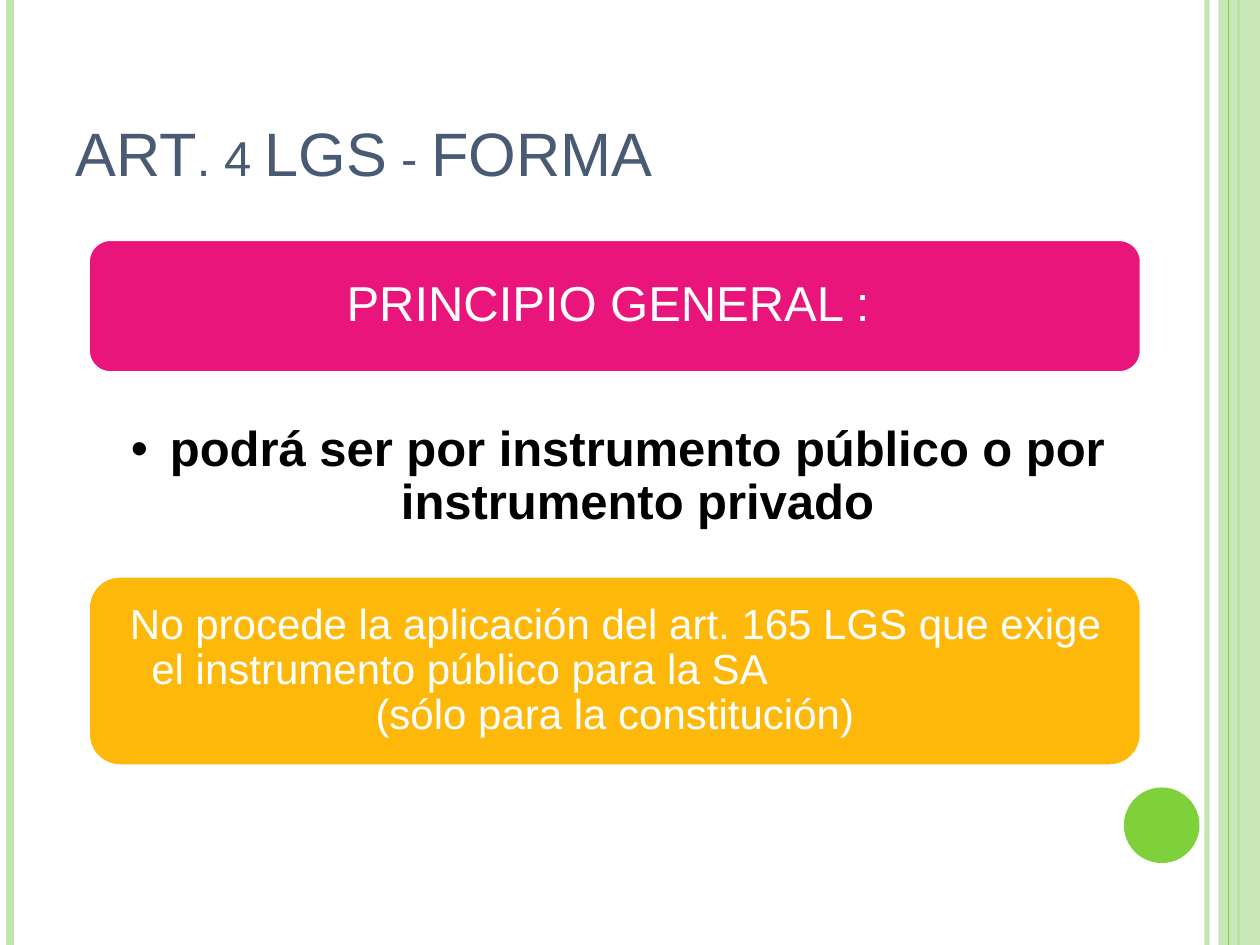
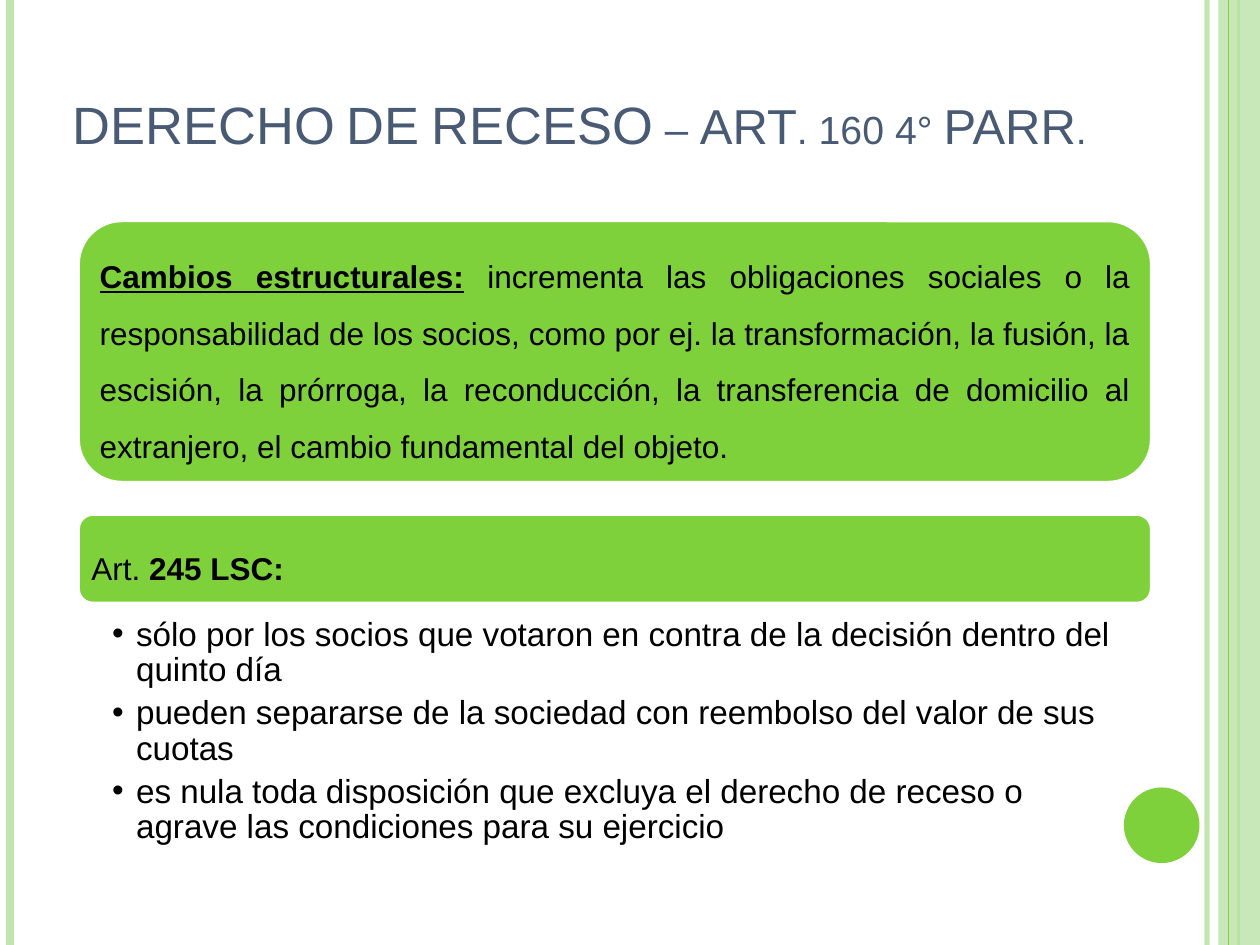
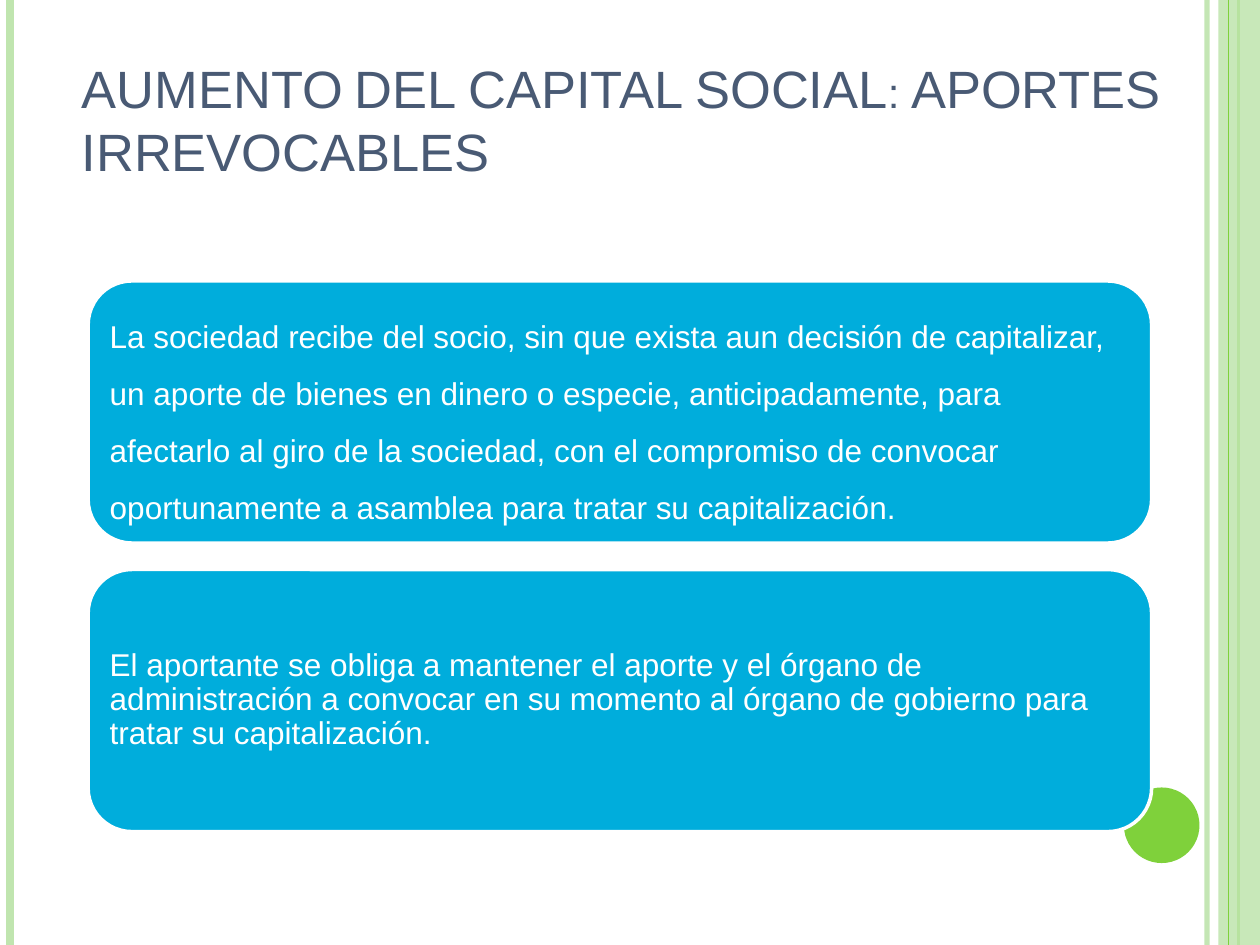
from dataclasses import dataclass

from lxml import etree
from pptx import Presentation
from pptx.dml.color import RGBColor
from pptx.enum.shapes import MSO_CONNECTOR, MSO_SHAPE
from pptx.enum.text import MSO_ANCHOR, PP_ALIGN
from pptx.oxml.ns import qn
from pptx.util import Inches, Pt

LEFT, CENTER, JUSTIFY = PP_ALIGN.LEFT, PP_ALIGN.CENTER, PP_ALIGN.JUSTIFY
TOP, MIDDLE, BOTTOM = MSO_ANCHOR.TOP, MSO_ANCHOR.MIDDLE, MSO_ANCHOR.BOTTOM
STRAIGHT = MSO_CONNECTOR.STRAIGHT
RECTANGLE, OVAL = MSO_SHAPE.RECTANGLE, MSO_SHAPE.OVAL
ROUNDED = MSO_SHAPE.ROUNDED_RECTANGLE


@dataclass(frozen=True)
class Theme:
    font: str = "Arial"
    title: str = "495A74"
    green: str = "7FD13B"
    pale_green: str = "C0E5AF"
    pink: str = "EA157A"
    amber: str = "FEB80A"
    blue: str = "00ADDC"
    white: str = "FFFFFF"
    black: str = "000000"
    title_large: int = 35
    title_medium: int = 30
    title_small: int = 28
    heading: int = 28
    statement: int = 24
    bullet: int = 19
    body: int = 18


THEME = Theme()
SLIDE_WIDTH, SLIDE_HEIGHT = 10, 7.5

RULES = [
    (9.58, THEME.pale_green, 3, 93),
    (0.08, THEME.pale_green, 4.5, 100),
    (9.83, THEME.green, 1.5, 100),
    (9.75, THEME.green, 0.75, 100),
]
SIDE_BAND = (9.67, 0, 0.33, SLIDE_HEIGHT)
CORNER_DOT = (8.92, 6.25, 0.6, 0.6)

SLIDES = [
    {
        "title": [("ART. 4 LGS - FORMA", {"size": THEME.title_large})],
        "title_box": (0.5, 0.3, 8.17, 1.25),
        "cards": [
            {
                "box": (0.7, 1.9, 8.36, 1.06),
                "fill": THEME.pink,
                "inset": 0.12,
                "paragraphs": [
                    {"text": "PRINCIPIO GENERAL : ", "size": THEME.heading, "align": CENTER},
                ],
            },
            {
                "box": (0.7, 4.57, 8.36, 1.51),
                "fill": THEME.amber,
                "inset": 0.1,
                "paragraphs": [
                    {
                        "text": "No procede la aplicación del art. 165 LGS que exige "
                                "el instrumento público para la SA",
                        "size": THEME.statement, "margin": 0.33, "indent": -0.17, "after": 0,
                    },
                    {"text": "(sólo para la constitución)", "size": THEME.statement,
                     "align": CENTER, "after": 0},
                ],
            },
        ],
        "bullets": {
            "box": (0.7, 3.33, 8.36, 1.18),
            "insets": (0.27, 0.04, 0.22, 0.04),
            "format": {"size": THEME.heading, "bold": True, "align": CENTER,
                       "margin": 0.31, "indent": -0.31},
            "items": ["podrá ser por instrumento público o por instrumento privado"],
        },
    },
    {
        "title": [
            ("DERECHO DE RECESO – ", {"size": THEME.title_medium}),
            ("ART. 160 4° PARR.", {"size": THEME.title_small}),
        ],
        "title_box": (0.48, -0.14, 8.8, 1.42),
        "cards": [
            {
                "box": (0.62, 1.75, 8.52, 2.08),
                "fill": THEME.green,
                "inset": 0.07,
                "paragraphs": [{
                    "text": [
                        ("Cambios estructurales:", {"bold": True, "underline": True}),
                        (" ", {"bold": True}),
                        ("incrementa las obligaciones sociales o la responsabilidad de los "
                         "socios, como por ej. la transformación, la fusión, la escisión, "
                         "la prórroga, la reconducción, la transferencia de domicilio al "
                         "extranjero, el cambio fundamental del objeto.", {}),
                    ],
                    "color": THEME.black, "align": JUSTIFY, "spacing": 1.5,
                }],
            },
            {
                "box": (0.62, 4.08, 8.52, 0.71),
                "fill": THEME.green,
                "inset": 0.07,
                "paragraphs": [{
                    "text": [("Art. ", {}), ("245 LSC:", {"bold": True})],
                    "color": THEME.black, "align": JUSTIFY, "spacing": 1.5,
                }],
            },
        ],
        "bullets": {
            "box": (0.62, 4.87, 8.52, 1.84),
            "insets": (0.27, 0.03, 0.15, 0.03),
            "format": {"size": THEME.bullet, "margin": 0.19, "indent": -0.19},
            "items": [
                "sólo por los socios que votaron en contra de la decisión dentro del quinto día",
                "pueden separarse de la sociedad con reembolso del valor de sus cuotas",
                "es nula toda disposición que excluya el derecho de receso o agrave las "
                "condiciones para su ejercicio",
            ],
        },
    },
    {
        "title": [("AUMENTO DEL CAPITAL SOCIAL: APORTES IRREVOCABLES",
                   {"size": THEME.title_medium})],
        "title_box": (0.55, 0.07, 8.8, 1.42),
        "cards": [
            {
                "box": (0.7, 2.23, 8.44, 2.08),
                "fill": THEME.blue,
                "inset": 0.07,
                "paragraphs": [{
                    "text": "La sociedad recibe del socio, sin que exista aun decisión de "
                            "capitalizar, un aporte de bienes en dinero o especie, "
                            "anticipadamente, para afectarlo al giro de la sociedad, con el "
                            "compromiso de convocar oportunamente a asamblea para tratar su "
                            "capitalización.",
                    "spacing": 1.5,
                }],
            },
            {
                "box": (0.7, 4.52, 8.44, 2.08),
                "fill": THEME.blue,
                "inset": 0.07,
                "paragraphs": [{
                    "text": "El aportante se obliga a mantener el aporte y el órgano de "
                            "administración a convocar en su momento al órgano de gobierno "
                            "para tratar su capitalización.",
                }],
            },
        ],
    },
]


def inches(values):
    return [Inches(value) for value in values]


def rgb(color):
    return RGBColor.from_string(color)


def set_opacity(fill_parent, percent):
    color = next(fill_parent.iter(qn("a:srgbClr")))
    etree.SubElement(color, qn("a:alpha")).set("val", str(percent * 1000))


def write_text(paragraph, text, size=THEME.body, color=THEME.white, bold=False,
               underline=False, align=LEFT, spacing=0.9, after=0.35, margin=0,
               indent=0, bullet=False, small_caps=False):
    paragraph.alignment = align
    paragraph.line_spacing = spacing
    paragraph.space_after = Pt(round(size * after, 1))
    properties = paragraph._p.get_or_add_pPr()
    properties.set("marL", str(Inches(margin)))
    properties.set("indent", str(Inches(indent)))
    if bullet:
        etree.SubElement(properties, qn("a:buFont")).set("typeface", THEME.font)
        etree.SubElement(properties, qn("a:buChar")).set("char", "•")
    pieces = [(text, {})] if isinstance(text, str) else text
    for piece, changes in pieces:
        run = paragraph.add_run()
        run.text = piece
        run.font.name = THEME.font
        run.font.size = Pt(changes.get("size", size))
        run.font.bold = changes.get("bold", bold)
        run.font.underline = changes.get("underline", underline)
        run.font.color.rgb = rgb(color)
        if small_caps:
            run.font._element.set("cap", "small")


def fill_frame(shape, paragraphs, insets, anchor):
    frame = shape.text_frame
    frame.word_wrap = True
    frame.vertical_anchor = anchor
    (frame.margin_left, frame.margin_top,
     frame.margin_right, frame.margin_bottom) = inches(insets)
    for index, content in enumerate(paragraphs):
        paragraph = frame.add_paragraph() if index else frame.paragraphs[0]
        write_text(paragraph, **content)


def add_filled_shape(slide, kind, box, fill, outline=None):
    shape = slide.shapes.add_shape(kind, *inches(box))
    shape.shadow.inherit = False
    shape.fill.solid()
    shape.fill.fore_color.rgb = rgb(fill)
    if outline:
        shape.line.color.rgb = rgb(outline)
        shape.line.width = Pt(2)
    else:
        shape.line.fill.background()
    return shape


def add_vertical_rule(slide, x, color, width, opacity):
    rule = slide.shapes.add_connector(STRAIGHT, *inches((x, 0, x, SLIDE_HEIGHT)))
    rule.line.color.rgb = rgb(color)
    rule.line.width = Pt(width)
    properties = rule._element.spPr
    etree.SubElement(properties, qn("a:effectLst"))
    if opacity < 100:
        set_opacity(properties, opacity)


def add_frame_decoration(slide):
    for rule in RULES[:3]:
        add_vertical_rule(slide, *rule)
    band = add_filled_shape(slide, RECTANGLE, SIDE_BAND, THEME.pale_green)
    set_opacity(band._element.spPr, 87)
    add_vertical_rule(slide, *RULES[3])
    add_filled_shape(slide, OVAL, CORNER_DOT, THEME.green)


def add_title(slide, text, box):
    title = slide.shapes.add_textbox(*inches(box))
    content = {"text": text, "color": THEME.title, "spacing": 1.0, "after": 0,
               "small_caps": True}
    fill_frame(title, [content], (0.1, 0.05, 0.1, 0.05), BOTTOM)


def add_card(slide, box, fill, inset, paragraphs):
    card = add_filled_shape(slide, ROUNDED, box, fill, outline=THEME.white)
    fill_frame(card, paragraphs, [inset] * 4, MIDDLE)


def add_bullets(slide, bullets):
    text_box = slide.shapes.add_textbox(*inches(bullets["box"]))
    paragraphs = [
        {"text": item, "color": THEME.black, "after": 0.2, "bullet": True, **bullets["format"]}
        for item in bullets["items"]
    ]
    fill_frame(text_box, paragraphs, bullets["insets"], TOP)


def main():
    presentation = Presentation()
    presentation.slide_width = Inches(SLIDE_WIDTH)
    presentation.slide_height = Inches(SLIDE_HEIGHT)
    blank = presentation.slide_layouts[6]
    for content in SLIDES:
        slide = presentation.slides.add_slide(blank)
        add_frame_decoration(slide)
        add_title(slide, content["title"], content["title_box"])
        for card in content["cards"]:
            add_card(slide, **card)
        if "bullets" in content:
            add_bullets(slide, content["bullets"])
    presentation.save("out.pptx")


if __name__ == "__main__":
    main()
